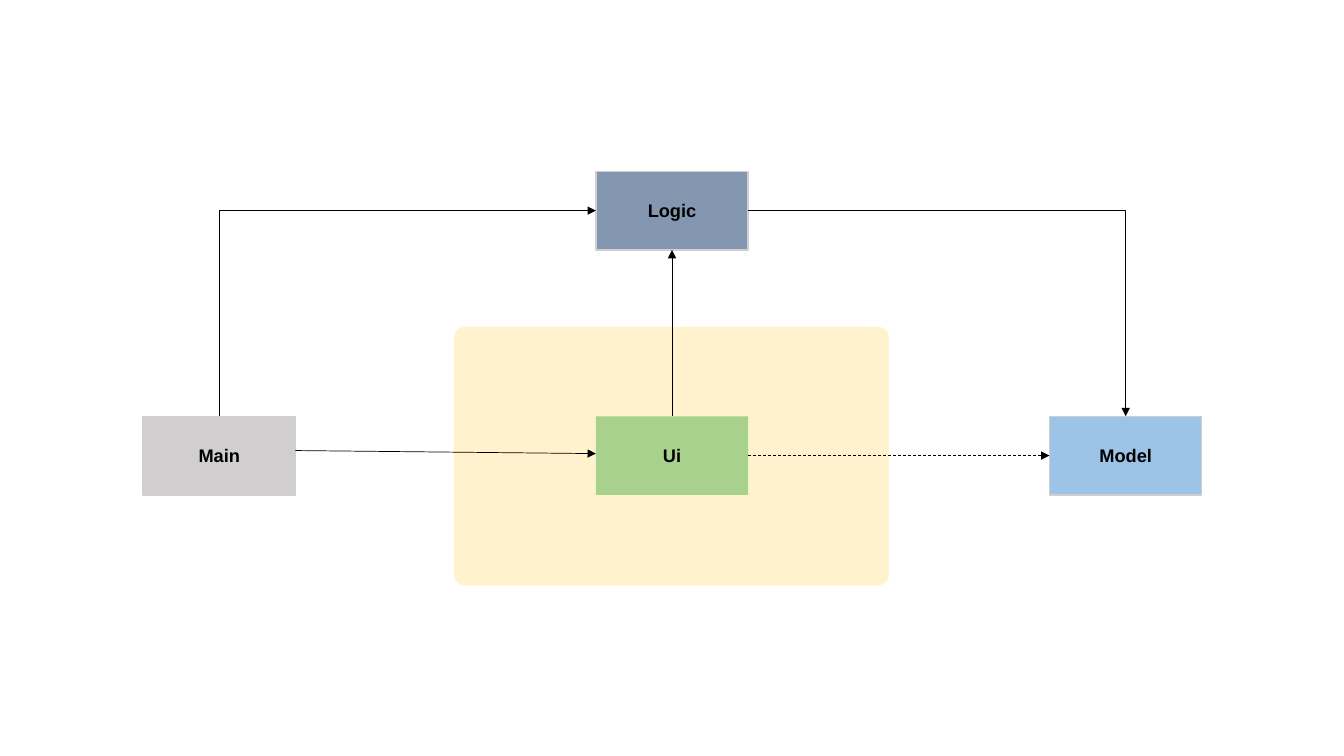
from dataclasses import dataclass
from typing import Optional

from lxml.etree import SubElement
from pptx import Presentation
from pptx.dml.color import RGBColor
from pptx.enum.dml import MSO_LINE_DASH_STYLE as Dash
from pptx.enum.shapes import MSO_CONNECTOR_TYPE as ConnectorType
from pptx.enum.shapes import MSO_AUTO_SHAPE_TYPE as ShapeType
from pptx.enum.text import MSO_VERTICAL_ANCHOR as Anchor
from pptx.enum.text import PP_PARAGRAPH_ALIGNMENT as Align
from pptx.oxml.ns import qn
from pptx.shapes.autoshape import Shape
from pptx.slide import Slide
from pptx.util import Inches, Pt

BLACK = RGBColor(0x00, 0x00, 0x00)
GRAY = RGBColor(0xD0, 0xCE, 0xCE)
CREAM = RGBColor(0xFF, 0xF2, 0xCC)
BLUE = RGBColor(0x9D, 0xC3, 0xE6)
GREEN = RGBColor(0xA9, 0xD1, 0x8E)
SLATE = RGBColor(0x84, 0x97, 0xB0)

BOX_WIDTH, BOX_HEIGHT = 1.51, 0.78
LOGIC_TOP, LOWER_TOP = 1.7, 4.13
LOGIC_MIDDLE = LOGIC_TOP + BOX_HEIGHT / 2
LOWER_MIDDLE = LOWER_TOP + BOX_HEIGHT / 2


@dataclass(frozen=True)
class Component:
    label: str
    left: float
    top: float
    fill: RGBColor
    border: Optional[RGBColor] = GRAY

    @property
    def right(self) -> float:
        return self.left + BOX_WIDTH

    @property
    def center(self) -> float:
        return self.left + BOX_WIDTH / 2


@dataclass(frozen=True)
class Dependency:
    start: tuple[float, float]
    end: tuple[float, float]
    dashed: bool = False
    bent: bool = False
    vertical_first: bool = False


MAIN = Component("Main", 1.42, LOWER_TOP, GRAY)
MODEL = Component("Model", 10.41, LOWER_TOP, BLUE)
UI = Component("Ui", 5.91, LOWER_TOP, GREEN, None)
LOGIC = Component("Logic", 5.91, LOGIC_TOP, SLATE)

DEPENDENCIES = [
    Dependency((MAIN.right, 4.47), (UI.left, 4.5)),
    Dependency((MAIN.center, LOWER_TOP), (LOGIC.left, LOGIC_MIDDLE),
               bent=True, vertical_first=True),
    Dependency((LOGIC.right, LOGIC_MIDDLE), (MODEL.center, LOWER_TOP), bent=True),
    Dependency((UI.right, LOWER_MIDDLE), (MODEL.left, LOWER_MIDDLE), dashed=True),
    Dependency((UI.center, LOWER_TOP), (LOGIC.center, LOGIC_TOP + BOX_HEIGHT)),
]


def add_block(slide: Slide, kind: ShapeType, left: float, top: float, width: float,
              height: float, fill: RGBColor, border: Optional[RGBColor]) -> Shape:
    block = slide.shapes.add_shape(
        kind, Inches(left), Inches(top), Inches(width), Inches(height))
    block.shadow.inherit = False
    block.fill.solid()
    block.fill.fore_color.rgb = fill
    if border is None:
        block.line.fill.background()
    else:
        block.line.color.rgb = border
        block.line.width = Pt(1)
    return block


def add_component(slide: Slide, component: Component) -> None:
    box = add_block(slide, ShapeType.RECTANGLE, component.left, component.top,
                    BOX_WIDTH, BOX_HEIGHT, component.fill, component.border)
    box.text_frame.vertical_anchor = Anchor.MIDDLE
    label = box.text_frame.paragraphs[0]
    label.text = component.label
    label.alignment = Align.CENTER
    label.font.name = "Arial"
    label.font.size = Pt(13)
    label.font.bold = True
    label.font.color.rgb = BLACK


def add_dependency(slide: Slide, dependency: Dependency) -> None:
    (x1, y1), (x2, y2) = dependency.start, dependency.end
    if dependency.vertical_first:
        middle_x, middle_y = (x1 + x2) / 2, (y1 + y2) / 2
        half_width, half_height = (y1 - y2) / 2, (x2 - x1) / 2
        x1, y1 = middle_x + half_width, middle_y + half_height
        x2, y2 = middle_x - half_width, middle_y - half_height
    kind = ConnectorType.ELBOW if dependency.bent else ConnectorType.STRAIGHT
    arrow = slide.shapes.add_connector(
        kind, Inches(x1), Inches(y1), Inches(x2), Inches(y2))
    arrow.line.color.rgb = BLACK
    arrow.line.width = Pt(0.5)
    if dependency.dashed:
        arrow.line.dash_style = Dash.DASH
    properties = arrow._element.spPr
    if dependency.bent:
        properties.find(qn("a:prstGeom")).set("prst", "bentConnector2")
    if dependency.vertical_first:
        properties.find(qn("a:xfrm")).set("rot", str(90 * 60000))
    SubElement(properties.find(qn("a:ln")), qn("a:tailEnd"), type="triangle")
    SubElement(properties, qn("a:effectLst"))


def main() -> None:
    presentation = Presentation()
    presentation.slide_width = Inches(13.33)
    presentation.slide_height = Inches(7.5)
    slide = presentation.slides.add_slide(presentation.slide_layouts[6])

    add_component(slide, MAIN)
    ui_area = add_block(slide, ShapeType.ROUNDED_RECTANGLE,
                        4.51, 3.25, 4.3, 2.55, CREAM, CREAM)
    ui_area.adjustments[0] = 0.04
    for component in (MODEL, UI, LOGIC):
        add_component(slide, component)
    for dependency in DEPENDENCIES:
        add_dependency(slide, dependency)

    presentation.save("out.pptx")


if __name__ == "__main__":
    main()
